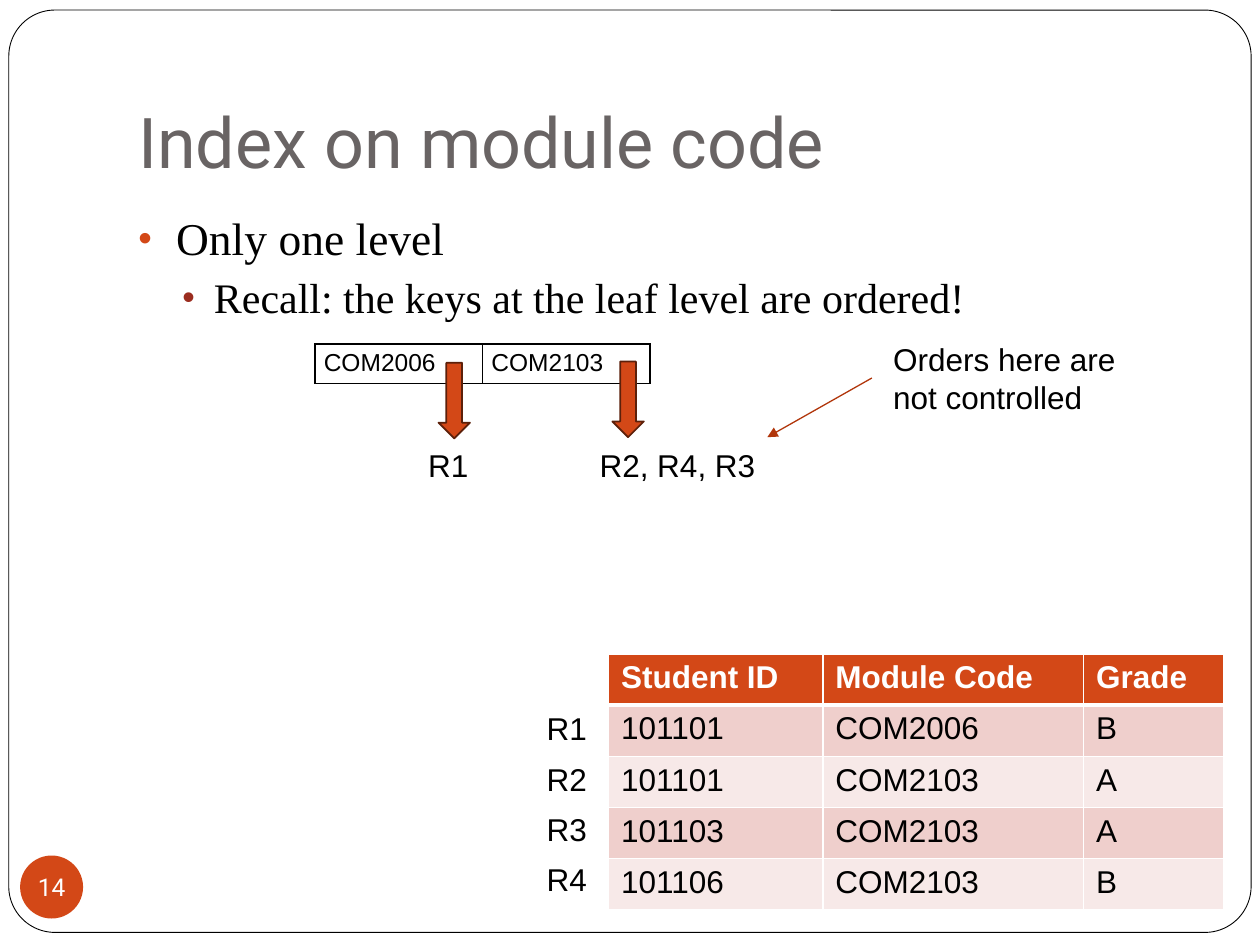
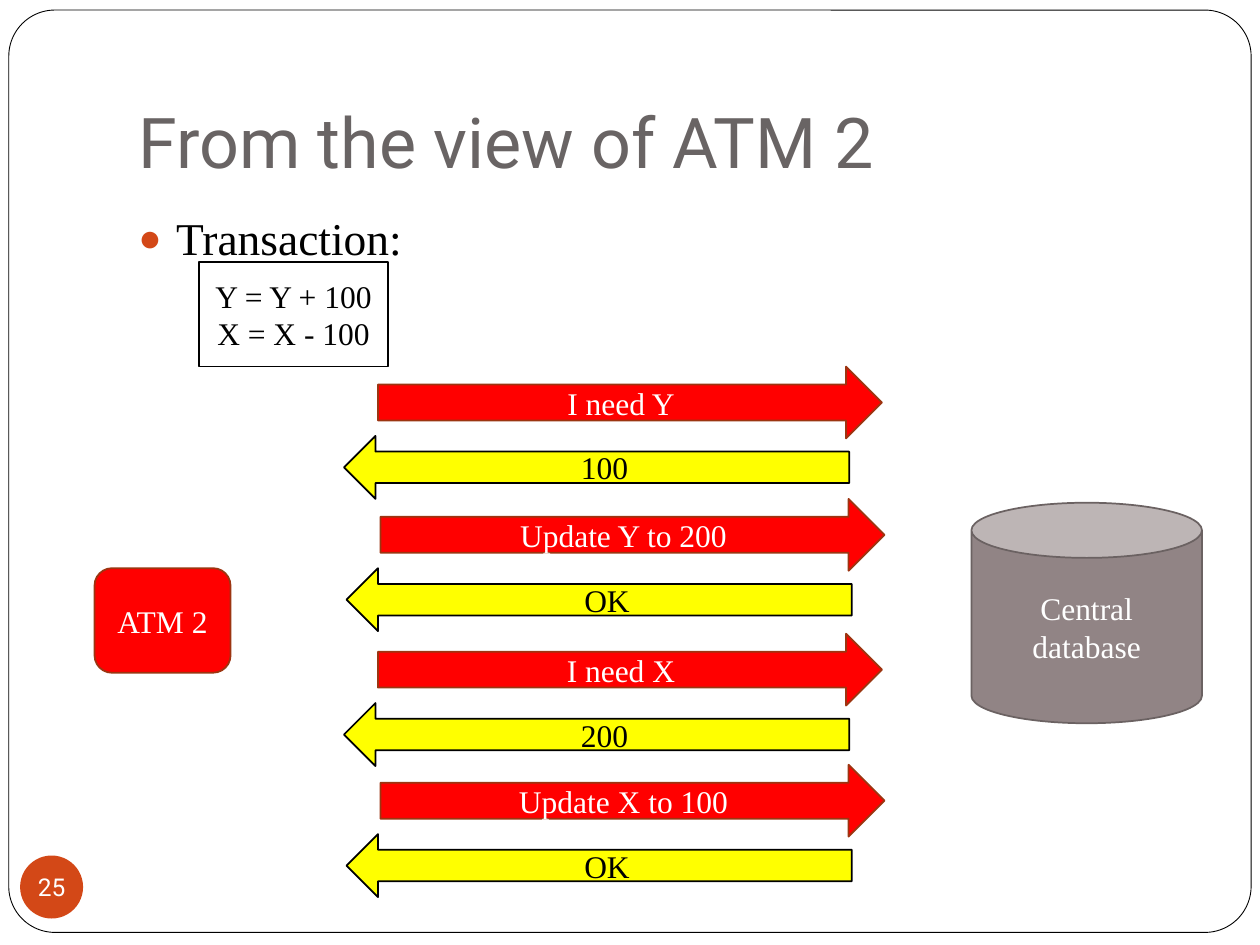
from dataclasses import dataclass

from lxml.etree import SubElement
from pptx import Presentation
from pptx.dml.color import RGBColor
from pptx.enum.shapes import MSO_CONNECTOR, MSO_SHAPE
from pptx.enum.text import MSO_ANCHOR, PP_ALIGN
from pptx.oxml.ns import qn
from pptx.util import Inches, Pt


@dataclass(frozen=True)
class Theme:
    white: str = "FFFFFF"
    black: str = "000000"
    title: str = "696464"
    accent: str = "D34817"
    sub_bullet: str = "9B2D1F"
    arrow_edge: str = "5C200A"
    pointer: str = "B1360B"
    band_dark: str = "EFCFCC"
    band_light: str = "F7E9E8"
    request: str = "FF0000"
    request_edge: str = "9C3511"
    reply: str = "FFFF00"
    database: str = "918485"
    database_edge: str = "6B6262"
    heading_font: str = "Roboto"
    body_font: str = "Times New Roman"
    label_font: str = "Arial"
    title_size: int = 40
    bullet_size: int = 26
    sub_bullet_size: int = 24
    text_size: int = 18
    small_size: int = 14


THEME = Theme()


@dataclass(frozen=True)
class Box:
    left: float
    top: float
    width: float
    height: float

    def emu(self) -> tuple:
        return tuple(Inches(v) for v in (self.left, self.top, self.width, self.height))


@dataclass(frozen=True)
class Style:
    size: int = THEME.text_size
    font: str = THEME.label_font
    color: str = THEME.black
    bold: bool = False


@dataclass(frozen=True)
class Look:
    fill: str
    edge: str | None = None
    width: float = 1
    text: str = THEME.white


@dataclass(frozen=True)
class Bullet:
    text: str
    symbol: str
    color: str
    size: int
    indent: float
    hang: float
    before: float = 0


@dataclass(frozen=True)
class Exchange:
    request: str
    reply: str
    top: float
    shift: float


LABEL = Style()
REQUEST = Look(THEME.request, THEME.request_edge)
REPLY = Look(THEME.reply, THEME.black, text=THEME.black)
DOWN_ARROW = Look(THEME.accent, THEME.arrow_edge)


def rgb(color: str) -> RGBColor:
    return RGBColor.from_string(color)


def set_font(paragraph, style: Style) -> None:
    font = paragraph.font
    font.size, font.name, font.bold = Pt(style.size), style.font, style.bold
    font.color.rgb = rgb(style.color)


def write(frame, lines: list[str], style: Style, align=PP_ALIGN.LEFT) -> None:
    for index, line in enumerate(lines):
        paragraph = frame.paragraphs[0] if index == 0 else frame.add_paragraph()
        paragraph.text, paragraph.alignment = line, align
        set_font(paragraph, style)


def add_text(slide, box: Box, text: str, style: Style = LABEL):
    frame = slide.shapes.add_textbox(*box.emu()).text_frame
    frame.word_wrap = True
    write(frame, [text], style)
    return frame


def add_block(slide, kind, box: Box, look: Look, lines: list[str] | None = None,
              style: Style | None = None):
    block = slide.shapes.add_shape(kind, *box.emu())
    block.shadow.inherit = False
    block.fill.solid()
    block.fill.fore_color.rgb = rgb(look.fill)
    if look.edge:
        block.line.color.rgb = rgb(look.edge)
        block.line.width = Pt(look.width)
    else:
        block.line.fill.background()
    if lines:
        block.text_frame.vertical_anchor = MSO_ANCHOR.MIDDLE
        style = style or Style(font=THEME.body_font, color=look.text)
        write(block.text_frame, lines, style, PP_ALIGN.CENTER)
    return block


def add_bullets(slide, bullets: list[Bullet]) -> None:
    frame = slide.shapes.add_textbox(*Box(1, 1.58, 8.5, 5).emu()).text_frame
    frame.word_wrap = True
    frame.margin_top = Inches(0.09)
    for index, bullet in enumerate(bullets):
        paragraph = frame.paragraphs[0] if index == 0 else frame.add_paragraph()
        paragraph.text, paragraph.level = bullet.text, index
        paragraph.space_before = Pt(bullet.before)
        props = paragraph._p.get_or_add_pPr()
        props.set("marL", str(Inches(bullet.indent)))
        props.set("indent", str(-Inches(bullet.hang)))
        SubElement(SubElement(props, qn("a:buClr")), qn("a:srgbClr"), val=bullet.color)
        SubElement(props, qn("a:buSzPct"), val="85000")
        SubElement(props, qn("a:buFont"), typeface=THEME.label_font)
        SubElement(props, qn("a:buChar"), char=bullet.symbol)
        set_font(paragraph, Style(bullet.size, THEME.body_font))


def set_border(cell, side: str, color: str, width: float) -> None:
    edge = SubElement(cell._tc.get_or_add_tcPr(), qn(f"a:ln{side}"), w=str(Pt(width)))
    SubElement(SubElement(edge, qn("a:solidFill")), qn("a:srgbClr"), val=color)


def add_grid(slide, box: Box, widths: list[float], rows: list[list[str]], border: str,
             margins: tuple[float, float], size: int, header: bool = False) -> None:
    grid = slide.shapes.add_table(len(rows), len(widths), *box.emu()).table
    grid.first_row = grid.horz_banding = False
    for column, width in zip(grid.columns, widths):
        column.width = Inches(width)
    for r, values in enumerate(rows):
        heading = header and r == 0
        for c, value in enumerate(values):
            cell = grid.cell(r, c)
            cell.margin_left = cell.margin_right = Inches(margins[0])
            cell.margin_top = cell.margin_bottom = Inches(margins[1])
            for side in "LRTB":
                under_header = header and (r, side) in ((0, "B"), (1, "T"))
                set_border(cell, side, border, 3 if under_header else 1)
            if header:
                band = THEME.band_dark if r % 2 else THEME.band_light
                cell.fill.solid()
                cell.fill.fore_color.rgb = rgb(THEME.accent if heading else band)
            else:
                cell.fill.background()
            color = THEME.white if heading else THEME.black
            write(cell.text_frame, [value], Style(size, color=color, bold=heading))


def add_pointer(slide, start: tuple[float, float], end: tuple[float, float]) -> None:
    ends = [Inches(v) for v in (*start, *end)]
    pointer = slide.shapes.add_connector(MSO_CONNECTOR.STRAIGHT, *ends)
    pointer.line.color.rgb = rgb(THEME.pointer)
    pointer.line.width = Pt(0.75)
    SubElement(pointer.line._get_or_add_ln(), qn("a:tailEnd"), type="triangle")
    SubElement(pointer._element.spPr, qn("a:effectLst"))


def start_slide(deck, title: str, number: int, bullets: list[Bullet]):
    """Add a slide with the shared frame, title, bullets and number badge."""
    slide = deck.slides.add_slide(deck.slide_layouts[6])
    frame = add_block(slide, MSO_SHAPE.ROUNDED_RECTANGLE, Box(0.07, 0.08, 9.86, 7.32),
                      Look(THEME.white, THEME.black, 0.5))
    frame.adjustments[0] = 0.05
    heading = add_text(slide, Box(1, 0.3, 8.5, 1.25), title,
                       Style(THEME.title_size, THEME.heading_font, THEME.title))
    heading.vertical_anchor = MSO_ANCHOR.BOTTOM
    heading.margin_bottom = Inches(0.1)
    add_bullets(slide, bullets)
    badge = add_block(slide, MSO_SHAPE.OVAL, Box(0.16, 6.79, 0.5, 0.5), Look(THEME.accent),
                      [str(number)], Style(THEME.small_size, THEME.heading_font, THEME.white))
    inner = badge.text_frame
    inner.word_wrap = False
    inner.margin_left = inner.margin_right = inner.margin_top = inner.margin_bottom = 0
    return slide


def build_index_slide(deck) -> None:
    slide = start_slide(deck, "Index on module code", 14, [
        Bullet("Only one level", "•", THEME.accent, THEME.bullet_size, 0.3, 0.3),
        Bullet("Recall: the keys at the leaf level are ordered!", "•", THEME.sub_bullet,
               THEME.sub_bullet_size, 0.6, 0.25, 3.8),
    ])

    # Student records with their row labels
    records = [
        ["Student ID", "Module Code", "Grade"],
        ["101101", "COM2006", "B"],
        ["101101", "COM2103", "A"],
        ["101103", "COM2103", "A"],
        ["101106", "COM2103", "B"],
    ]
    add_grid(slide, Box(4.83, 5.19, 4.88, 2.03), [1.7, 2.07, 1.11], records,
             THEME.white, (0.1, 0.05), THEME.text_size, header=True)
    for row in range(1, len(records)):
        add_text(slide, Box(4.24, 5.18 + 0.4 * row, 0.62, 0.4), f"R{row}")

    # Index leaf and the records its keys point to
    add_grid(slide, Box(2.5, 2.73, 2.67, 0.31), [1.33, 1.33], [["COM2006", "COM2103"]],
             THEME.black, (0.07, 0.04), THEME.small_size)
    for arrow_left, arrow_top, label_left, label_width, records_found in (
        (3.48, 2.88, 3.3, 0.6, "R1"),
        (4.86, 2.87, 4.66, 1.55, "R2, R4, R3"),
    ):
        add_block(slide, MSO_SHAPE.DOWN_ARROW, Box(arrow_left, arrow_top, 0.25, 0.6), DOWN_ARROW)
        add_text(slide, Box(label_left, 3.49, label_width, 0.4), records_found)

    # Remark on the record order
    add_pointer(slide, (6.92, 3), (6.09, 3.47))
    add_text(slide, Box(6.99, 2.65, 2, 0.71), "Orders here are not controlled")


def build_atm_slide(deck) -> None:
    slide = start_slide(deck, "From the view of ATM 2", 25, [
        Bullet("Transaction:", "●", THEME.accent, THEME.bullet_size, 0.3, 0.3),
    ])

    # Transaction and the two parties
    add_block(slide, MSO_SHAPE.RECTANGLE, Box(1.58, 2.08, 1.5, 0.83),
              Look(THEME.white, THEME.black, text=THEME.black), ["Y = Y + 100", "X = X - 100"])
    add_block(slide, MSO_SHAPE.ROUNDED_RECTANGLE, Box(0.75, 4.51, 1.08, 0.83), REQUEST, ["ATM 2"])
    add_block(slide, MSO_SHAPE.CAN, Box(7.71, 3.99, 1.83, 1.75),
              Look(THEME.database, THEME.database_edge), ["Central database"])

    # Messages: each request is followed by its reply
    for message in (
        Exchange("I need Y", "100", 2.91, 0),
        Exchange("Update Y to 200", "OK", 3.96, 0.02),
        Exchange("I need X", "200", 5.03, 0),
        Exchange("Update X to 100", "OK", 6.07, 0.02),
    ):
        add_block(slide, MSO_SHAPE.RIGHT_ARROW, Box(3 + message.shift, message.top, 4, 0.57),
                  REQUEST, [message.request])
        add_block(slide, MSO_SHAPE.LEFT_ARROW,
                  Box(2.73 + message.shift, message.top + 0.55, 4.01, 0.5),
                  REPLY, [message.reply])


def main() -> None:
    deck = Presentation()
    deck.slide_width, deck.slide_height = Inches(10), Inches(7.5)
    build_index_slide(deck)
    build_atm_slide(deck)
    deck.save("out.pptx")


if __name__ == "__main__":
    main()
